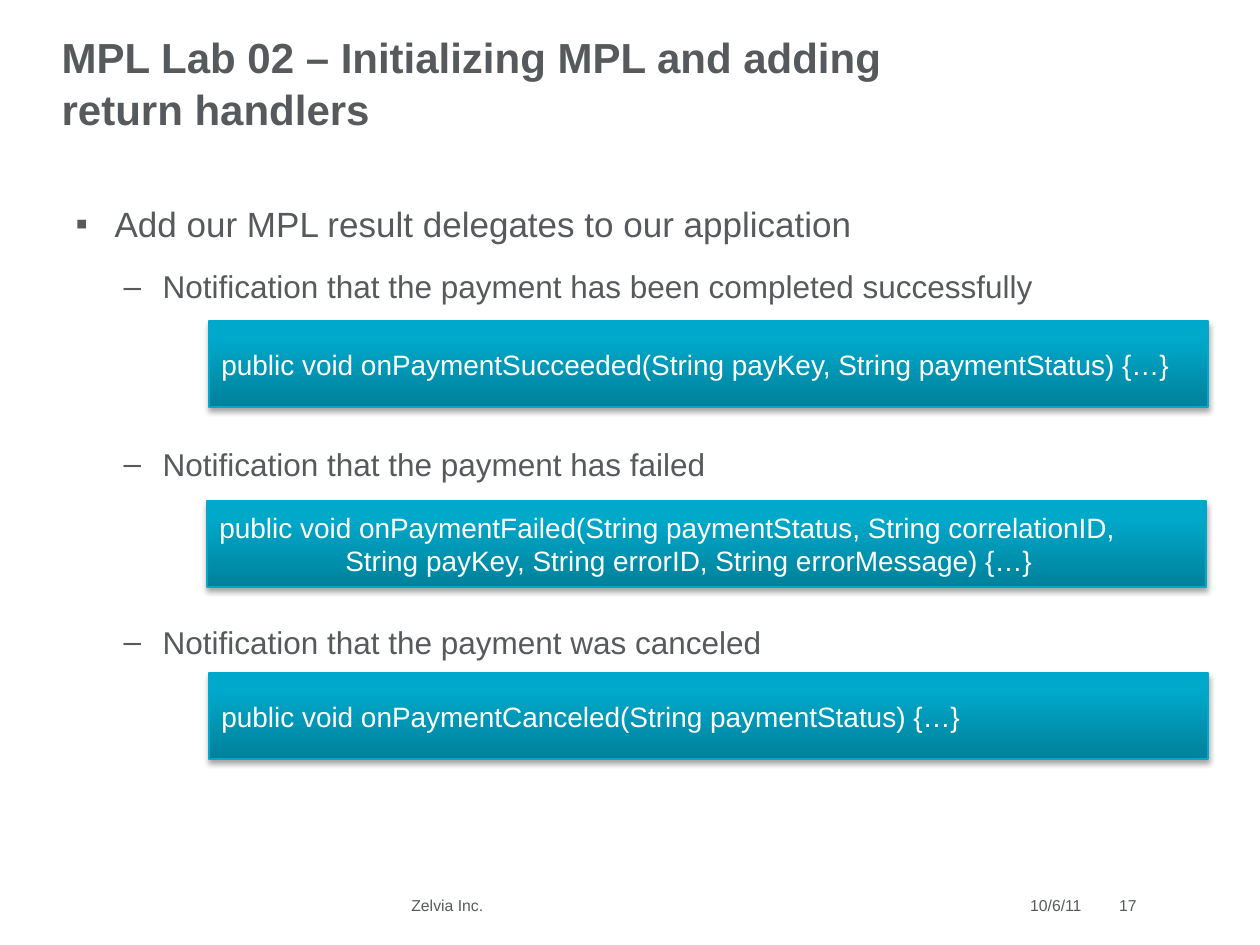
"""Build the slide on payment result delegates."""
from lxml.etree import SubElement
from pptx import Presentation
from pptx.dml.color import RGBColor
from pptx.enum.shapes import MSO_SHAPE
from pptx.enum.text import MSO_ANCHOR, MSO_AUTO_SIZE, PP_ALIGN
from pptx.oxml.ns import qn
from pptx.util import Emu, Pt

GREY = RGBColor(0x56, 0x5A, 0x5C)
WHITE = RGBColor(0xFF, 0xFF, 0xFF)
DARK = RGBColor(0x00, 0x81, 0x9B)
BRIGHT = RGBColor(0x00, 0xA8, 0xCA)
EDGE = RGBColor(0x00, 0xA9, 0xCB)
LEFT, RIGHT = PP_ALIGN.LEFT, PP_ALIGN.RIGHT
TOP, MIDDLE, BOTTOM = MSO_ANCHOR.TOP, MSO_ANCHOR.MIDDLE, MSO_ANCHOR.BOTTOM


def px(count):
    """Turn pixels into EMU."""
    return Emu(round(count * 914400 / 126))


def write(para, text, size, color=GREY, bold=False, align=LEFT,
          before=0, after=0, pitch=1.0, mark=None, inset=0, hang=0):
    """Fill a paragraph with text in the given format."""
    if mark:
        props = para._p.get_or_add_pPr()
        props.set("marL", str(px(inset)))
        props.set("indent", str(px(-hang)))
        SubElement(props, qn("a:buChar"), char=mark)
    para.alignment = align
    para.line_spacing = pitch
    para.space_before, para.space_after = Pt(before), Pt(after)
    run = para.add_run()
    run.text = text
    font = run.font
    font.name, font.size, font.bold = "Arial", Pt(size), bold
    font.color.rgb = color


class Deck:
    """Hold the style and the current slide."""

    def __init__(self, wide, high):
        """Open a deck with one slide of the given size."""
        self.show = Presentation()
        self.show.slide_width, self.show.slide_height = px(wide), px(high)
        self.slide = self.show.slides.add_slide(self.show.slide_layouts[1])

    def place(self, shape, box):
        """Move a shape to its box."""
        shape.left, shape.top, shape.width, shape.height = map(px, box)

    def frame(self, shape, anchor):
        """Set up the text frame of a shape."""
        frame = shape.text_frame
        frame.word_wrap = True
        frame.auto_size = MSO_AUTO_SIZE.NONE
        frame.vertical_anchor = anchor
        return frame

    def lines(self, frame, count):
        """Return the given number of paragraphs."""
        for _ in range(count - 1):
            frame.add_paragraph()
        return frame.paragraphs

    def title(self, text, box):
        """Fill the title."""
        shape = self.slide.shapes.title
        self.place(shape, box)
        para = self.frame(shape, MIDDLE).paragraphs[0]
        write(para, text, 24, bold=True, pitch=1.04)

    def list(self, head, items, box):
        """Fill the body with a head and its spaced items."""
        shape = self.slide.placeholders[1]
        self.place(shape, box)
        first, *rest = self.lines(self.frame(shape, TOP), len(items) + 1)
        write(first, head, 20, after=6, pitch=1.04, mark="▪", inset=39, hang=39)
        for rank, (para, text) in enumerate(zip(rest, items)):
            para.level = 1
            write(para, text, 18, before=73 if rank else 6, after=6,
                  pitch=1.04, mark="–", inset=87, hang=39)

    def code(self, rows, left, top):
        """Add a shaded panel with rows of code."""
        shape = self.slide.shapes.add_shape(
            MSO_SHAPE.RECTANGLE, px(left), px(top), px(999), px(86))
        shape.fill.gradient()
        shape.fill.gradient_angle = 90
        for stop, spot, color in zip(shape.fill.gradient_stops, (0, 0.8), (DARK, BRIGHT)):
            stop.position = spot
            stop.color.rgb = color
        shape.line.color.rgb = EDGE
        shape.line.width = Pt(0.75)
        self.shade(shape)
        for para, row in zip(self.lines(self.frame(shape, MIDDLE), len(rows)), rows):
            write(para, row, 16, color=WHITE)

    def shade(self, shape):
        """Give a shape a soft shadow below."""
        shape.shadow.inherit = False
        effects = shape._element.spPr.find(qn("a:effectLst"))
        outer = SubElement(effects, qn("a:outerShdw"), blurRad=str(Pt(3.1)),
                           dist=str(Pt(1.8)), dir="5400000", rotWithShape="0")
        black = SubElement(outer, qn("a:srgbClr"), val="000000")
        SubElement(black, qn("a:alpha"), val="35000")

    def foot(self, text, left, wide, align=LEFT):
        """Add a small text at the foot of the slide."""
        shape = self.slide.shapes.add_textbox(px(left), px(892), px(wide), px(29))
        write(self.frame(shape, BOTTOM).paragraphs[0], text, 9, align=align)


def main():
    """Build and save the deck."""
    deck = Deck(1260, 945)
    deck.title("MPL Lab 02 – Initializing MPL and adding return handlers",
               (49, 29, 932, 105))
    deck.list("Add our MPL result delegates to our application", [
        "Notification that the payment has been completed successfully",
        "Notification that the payment has failed",
        "Notification that the payment was canceled",
    ], (63, 195, 1134, 602))
    deck.foot("10/6/11", 921, 173, RIGHT)
    deck.foot("Zelvia Inc.", 399, 399)
    deck.foot("17", 1091, 58, RIGHT)
    deck.code(["public void onPaymentSucceeded(String payKey, String paymentStatus) {…}"],
              209, 321)
    deck.code(["public void onPaymentFailed(String paymentStatus, String correlationID,",
               "\t\tString payKey, String errorID, String errorMessage) {…}"], 207, 501)
    deck.code(["public void onPaymentCanceled(String paymentStatus) {…}"], 209, 673)
    deck.show.save("out.pptx")


if __name__ == "__main__":
    main()
